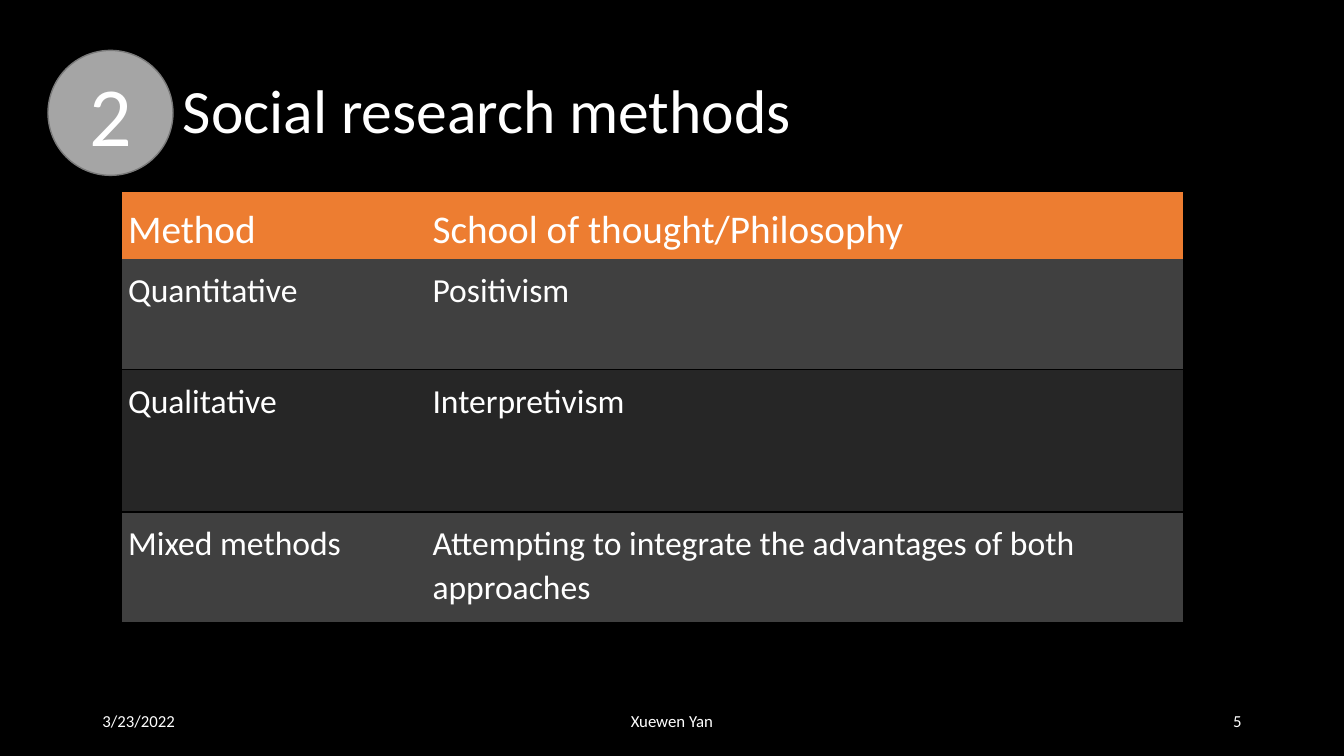
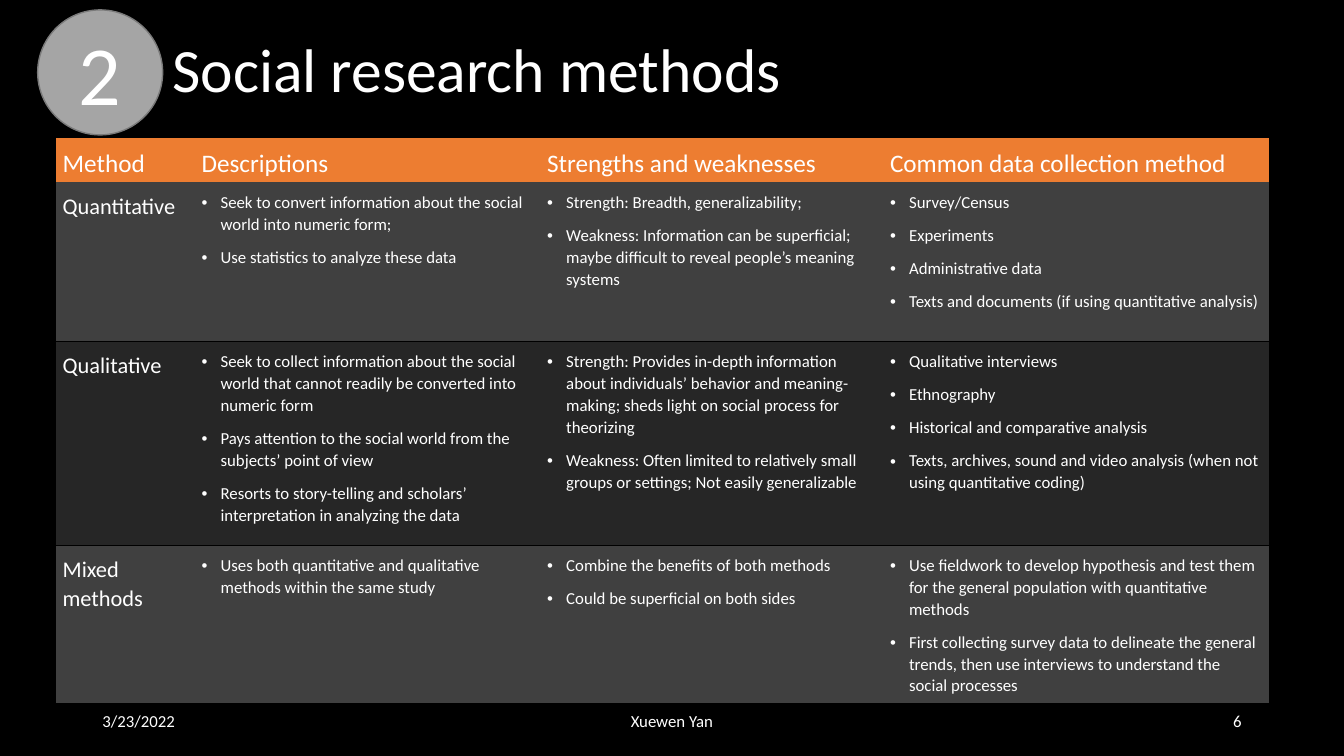
import pptx
import pptx.util
import pptx.dml.color
import pptx.enum.shapes
import pptx.enum.text
import pptx.oxml
import pptx.oxml.ns

Cm = pptx.util.Cm
Pt = pptx.util.Pt
Rgb = pptx.dml.color.RGBColor.from_string
Align = pptx.enum.text.PP_ALIGN
Anchor = pptx.enum.text.MSO_ANCHOR
qn = pptx.oxml.ns.qn

hues = {
    "back": "000000",
    "text": "FFFFFF",
    "head": "ED7D31",
    "odd": "404040",
    "even": "262626",
    "disc": "A5A5A5",
    "edge": "7A7A7A",
}
font = "Calibri"
plain = "{2D5ABB26-0587-4C30-8999-92F81FD0307C}"
disc_size = 3.15
foot_top = 17.65

pages = [
    {
        "number": "5", "left": 4.36, "top": 1.02,
        "table": (3.07, 4.83), "cols": [7.67, 19.08],
        "rows": [1.7, 2.79, 3.58, 2.77], "sizes": (28, 24, 24),
        "bullets": False,
        "cells": [
            ["Method", "School of thought/Philosophy"],
            ["Quantitative", "Positivism"],
            ["Qualitative", "Interpretivism"],
            ["Mixed methods", "Attempting to integrate the advantages of both approaches"],
        ],
    },
    {
        "number": "6", "left": 4.1, "top": 0,
        "table": (1.42, 3.48), "cols": [3.5, 8.71, 8.64, 9.7],
        "rows": [1.04, 4.01, 5.13, 3.99], "sizes": (18, 16, 12),
        "bullets": True,
        "cells": [
            ["Method", "Descriptions", "Strengths and weaknesses", "Common data collection method"],
            [
                "Quantitative",
                "Seek to convert information about the social world into numeric form;\n"
                "Use statistics to analyze these data",
                "Strength: Breadth, generalizability;\n"
                "Weakness: Information can be superficial; maybe difficult to reveal people’s meaning systems",
                "Survey/Census\nExperiments\nAdministrative data\n"
                "Texts and documents (if using quantitative analysis)",
            ],
            [
                "Qualitative",
                "Seek to collect information about the social world that cannot readily be converted into numeric form\n"
                "Pays attention to the social world from the subjects’ point of view\n"
                "Resorts to story-telling and scholars’ interpretation in analyzing the data",
                "Strength: Provides in-depth information about individuals’ behavior and meaning-making; "
                "sheds light on social process for theorizing\n"
                "Weakness: Often limited to relatively small groups or settings; Not easily generalizable",
                "Qualitative interviews\nEthnography\nHistorical and comparative analysis\n"
                "Texts, archives, sound and video analysis (when not using quantitative coding)",
            ],
            [
                "Mixed methods",
                "Uses both quantitative and qualitative methods within the same study",
                "Combine the benefits of both methods\nCould be superficial on both sides",
                "Use fieldwork to develop hypothesis and test them for the general population with quantitative methods\n"
                "First collecting survey data to delineate the general trends, "
                "then use interviews to understand the social processes",
            ],
        ],
    },
]


def write(frame, text, size, align=Align.LEFT, pitch=1.0, after=0):
    frame.text = text
    frame.word_wrap = True
    for line in frame.paragraphs:
        line.alignment = align
        line.line_spacing = pitch
        line.space_after = Pt(after)
        for run in line.runs:
            run.font.name = font
            run.font.size = Pt(size)
            run.font.color.rgb = Rgb(hues["text"])


def label(slide, text, box, size, align=Align.LEFT, pitch=1.0):
    frame = slide.shapes.add_textbox(*map(Cm, box)).text_frame
    frame.vertical_anchor = Anchor.MIDDLE
    write(frame, text, size, align, pitch)


deck = pptx.Presentation()
deck.slide_width = Cm(33.87)
deck.slide_height = Cm(19.05)
ground = deck.slide_master.background.fill
ground.solid()
ground.fore_color.rgb = Rgb(hues["back"])

for page in pages:
    slide = deck.slides.add_slide(deck.slide_layouts[6])
    left, top = page["left"], page["top"]
    label(slide, "Social research methods", (left, top, 27.18, 3.68), 44, pitch=0.9)

    disc = slide.shapes.add_shape(
        pptx.enum.shapes.MSO_SHAPE.OVAL,
        Cm(left - disc_size), Cm(top + 0.25), Cm(disc_size), Cm(disc_size))
    disc.shadow.inherit = False
    disc.fill.solid()
    disc.fill.fore_color.rgb = Rgb(hues["disc"])
    disc.line.color.rgb = Rgb(hues["edge"])
    disc.line.width = Pt(1)
    disc.text_frame.vertical_anchor = Anchor.MIDDLE
    write(disc.text_frame, "2", 60, Align.CENTER)

    label(slide, "3/23/2022", (2.33, foot_top, 7.62, 1.01), 12)
    label(slide, "Xuewen Yan", (11.22, foot_top, 11.43, 1.01), 12, Align.CENTER)
    label(slide, page["number"], (23.92, foot_top, 7.62, 1.01), 12, Align.RIGHT)

    cols, rows = page["cols"], page["rows"]
    x, y = page["table"]
    grid = slide.shapes.add_table(
        len(rows), len(cols), Cm(x), Cm(y), Cm(sum(cols)), Cm(sum(rows))).table
    grid.first_row = False
    grid.horz_banding = False
    grid._tbl.tblPr.find(qn("a:tableStyleId")).text = plain
    for col, width in zip(grid.columns, cols):
        col.width = Cm(width)

    head, first, body = page["sizes"]
    for r, texts in enumerate(page["cells"]):
        grid.rows[r].height = Cm(rows[r])
        tone = "head" if r == 0 else "odd" if r % 2 else "even"
        for c, text in enumerate(texts):
            cell = grid.cell(r, c)
            cell.margin_left = cell.margin_right = Cm(0.16)
            cell.margin_top, cell.margin_bottom = Cm(0.22), Cm(0.08)
            cell.vertical_anchor = Anchor.TOP if r else Anchor.MIDDLE
            cell.fill.solid()
            cell.fill.fore_color.rgb = Rgb(hues[tone])
            size = head if r == 0 else body if c else first
            write(cell.text_frame, text, size, pitch=1.07, after=8)

            if r in (1, 2):
                side = "lnB" if r == 1 else "lnT"
                rule = pptx.oxml.parse_xml(
                    f'<a:{side} {pptx.oxml.ns.nsdecls("a")} w="12700"><a:solidFill>'
                    f'<a:srgbClr val="{hues["back"]}"/></a:solidFill></a:{side}>')
                cell._tc.get_or_add_tcPr().insert(0, rule)

            if page["bullets"] and r and c:
                for line in cell.text_frame.paragraphs:
                    props = line._p.get_or_add_pPr()
                    props.set("marL", str(Cm(0.48)))
                    props.set("indent", str(-Cm(0.48)))
                    props.append(pptx.oxml.parse_xml(
                        f'<a:buFont {pptx.oxml.ns.nsdecls("a")} typeface="Arial"/>'))
                    props.append(pptx.oxml.parse_xml(
                        f'<a:buChar {pptx.oxml.ns.nsdecls("a")} char="•"/>'))

deck.save("out.pptx")
